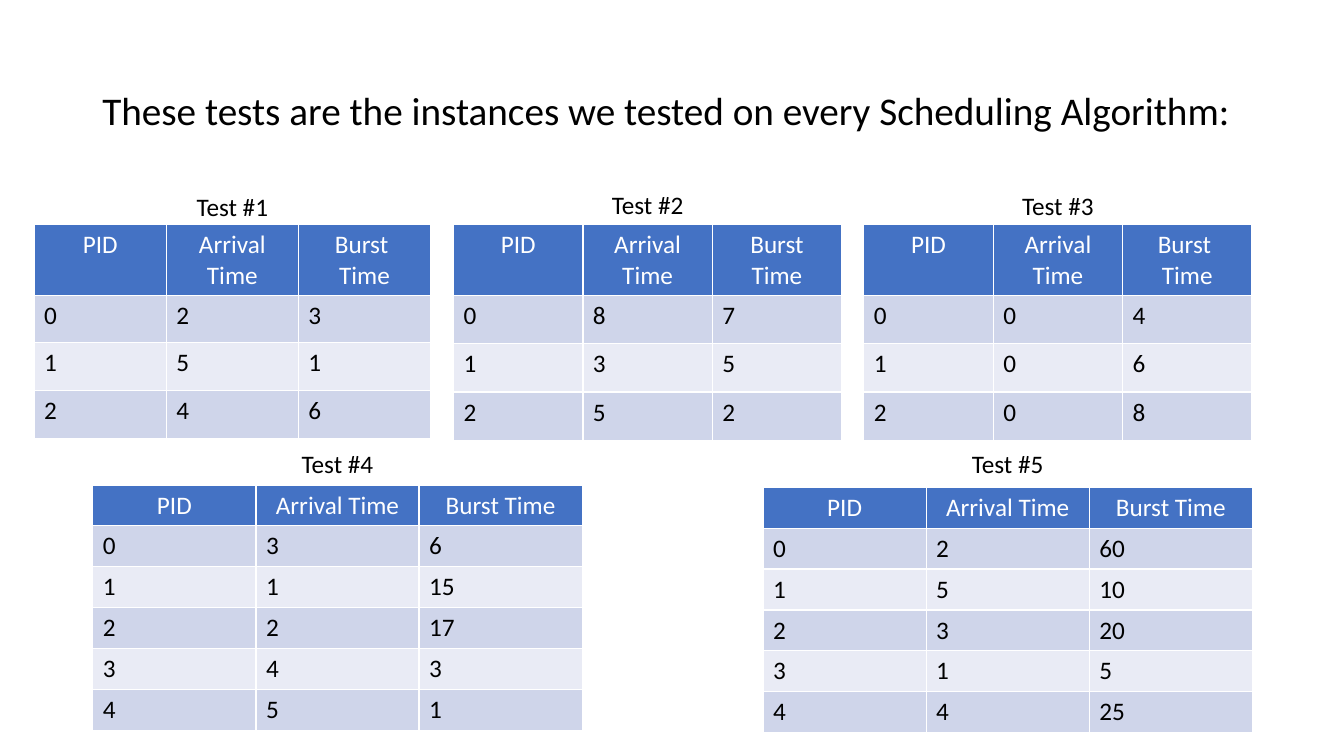
from dataclasses import dataclass

from pptx import Presentation
from pptx import util as u
from pptx.dml.color import RGBColor
from pptx.enum import text
from pptx.slide import Slide
from pptx.text.text import TextFrame

BLACK = RGBColor(0x00, 0x00, 0x00)
WHITE = RGBColor(0xFF, 0xFF, 0xFF)
HEADER_BLUE = RGBColor(0x44, 0x72, 0xC4)
BAND_DARK = RGBColor(0xCF, 0xD5, 0xEA)
BAND_LIGHT = RGBColor(0xE9, 0xEB, 0xF5)
FONT = "Calibri"

LABEL_W, LABEL_H = 3.56, 1.02

WIDE_HEADERS = ("PID", "Arrival Time", "Burst Time")


@dataclass(frozen=True)
class ScheduleTest:
    """One test case; lengths in cm, jobs as (arrival, burst) in PID order."""
    name: str
    left: float
    top: float
    col_w: float
    header_h: float
    row_h: float
    label_top: float
    headers: tuple[str, ...]
    jobs: tuple[tuple[int, int], ...]


TESTS = (
    ScheduleTest("Test #4", 2.34, 12.22, 4.11, 1.03, 1.03, 11.18, WIDE_HEADERS,
                 ((3, 6), (1, 15), (2, 17), (4, 3), (5, 1))),
    ScheduleTest("Test #5", 19.23, 12.28, 4.11, 1.03, 1.03, 11.18, WIDE_HEADERS,
                 ((2, 60), (5, 10), (3, 20), (1, 5), (4, 25))),
    ScheduleTest("Test #2", 11.43, 5.66, 3.26, 1.78, 1.22, 4.65,
                 ("PID", "Arrival\nTime", "Burst\nTime"),
                 ((8, 7), (3, 5), (5, 2))),
    ScheduleTest("Test #3", 21.77, 5.66, 3.26, 1.78, 1.22, 4.67,
                 ("PID", "Arrival\nTime", "Burst \nTime"),
                 ((0, 4), (0, 6), (0, 8))),
    ScheduleTest("Test #1", 0.86, 5.66, 3.33, 1.78, 1.2, 4.7,
                 ("PID", "Arrival Time", "Burst \nTime"),
                 ((2, 3), (5, 1), (4, 6))),
)


def write(tf: TextFrame, content: str, color: RGBColor, size: int = 18,
          align: text.PP_ALIGN = text.PP_ALIGN.LEFT) -> None:
    tf.text = content
    for p in tf.paragraphs:
        p.alignment = align
        for r in p.runs:
            r.font.name = FONT
            r.font.size = u.Pt(size)
            r.font.bold = False
            r.font.color.rgb = color


def add_text(slide: Slide, left: float, top: float, width: float,
             height: float) -> TextFrame:
    """Add an empty wrapping text box, in cm."""
    tf = slide.shapes.add_textbox(
        u.Cm(left), u.Cm(top), u.Cm(width), u.Cm(height)).text_frame
    tf.word_wrap = True
    return tf


def add_title(slide: Slide) -> None:
    tf = add_text(slide, 2.33, 1.01, 29.21, 3.68)
    tf.vertical_anchor = text.MSO_ANCHOR.MIDDLE
    write(tf, "These tests are the instances we tested on every "
          "Scheduling Algorithm:", BLACK, 28)
    tf.paragraphs[0].line_spacing = 0.9


def add_test_table(slide: Slide, test: ScheduleTest) -> None:
    rows = [test.headers]
    rows += [(pid, *job) for pid, job in enumerate(test.jobs)]
    heights = [test.header_h] + [test.row_h] * len(test.jobs)
    columns = len(test.headers)
    table = slide.shapes.add_table(
        len(rows), columns, u.Cm(test.left), u.Cm(test.top),
        u.Cm(test.col_w * columns), u.Cm(sum(heights))).table
    for column in table.columns:
        column.width = u.Cm(test.col_w)
    for i, (values, height) in enumerate(zip(rows, heights)):
        table.rows[i].height = u.Cm(height)
        for j, value in enumerate(values):
            cell = table.cell(i, j)
            cell.fill.solid()
            if i == 0:
                cell.fill.fore_color.rgb = HEADER_BLUE
                write(cell.text_frame, value, WHITE,
                      align=text.PP_ALIGN.CENTER)
            else:
                cell.fill.fore_color.rgb = BAND_DARK if i % 2 else BAND_LIGHT
                write(cell.text_frame, str(value), BLACK)


def add_test_label(slide: Slide, test: ScheduleTest) -> None:
    """Put the test's name centred over its table."""
    left = test.left + (test.col_w * len(test.headers) - LABEL_W) / 2
    tf = add_text(slide, left, test.label_top, LABEL_W, LABEL_H)
    tf.auto_size = text.MSO_AUTO_SIZE.SHAPE_TO_FIT_TEXT
    write(tf, test.name, BLACK, align=text.PP_ALIGN.CENTER)


def main() -> None:
    prs = Presentation()
    prs.slide_width, prs.slide_height = u.Cm(33.87), u.Cm(19.05)
    slide = prs.slides.add_slide(prs.slide_layouts[6])
    add_title(slide)
    for test in TESTS:
        add_test_table(slide, test)
    for test in sorted(TESTS, key=lambda t: t.name):
        add_test_label(slide, test)
    prs.save("out.pptx")


if __name__ == "__main__":
    main()
